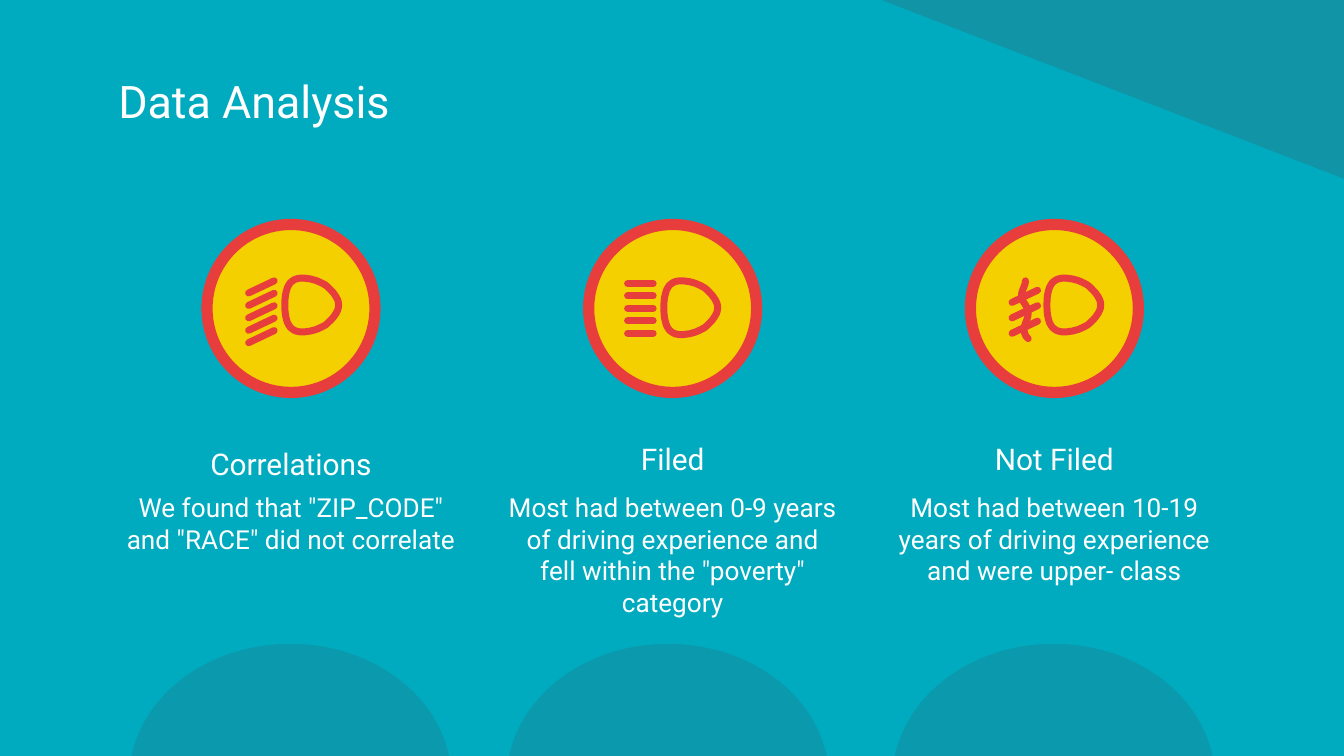
from dataclasses import dataclass

from lxml.etree import SubElement
from pptx import Presentation
from pptx.dml.color import RGBColor
from pptx.enum.shapes import MSO_CONNECTOR, MSO_SHAPE
from pptx.enum.text import MSO_ANCHOR, PP_ALIGN
from pptx.oxml.ns import qn
from pptx.util import Inches, Pt

COLORS = {"background": "00ABBF", "shade": "336574", "disc": "F4D000",
          "icon": "E83D3D", "text": "FFFFFF"}
FONT = "Roboto"
DISC_LEFT, DISC_TOP, DISC_SIZE = 1.54, 1.67, 1.25
COLUMN_STEP = 2.84
STROKE = 3.75
UNITS = 1000  # freeform grid units per inch

Point = tuple[float, float]
Curve = list[tuple[Point, Point, Point]]

# Curves run on from a start point, each step being two handles and an end
LAMP_START: Point = (0.16, 0.03)
LAMP: Curve = [
    ((0.22, 0.03), (0.28, 0.05), (0.33, 0.08)),
    ((0.39, 0.13), (0.43, 0.18), (0.43, 0.23)),
    ((0.43, 0.28), (0.39, 0.33), (0.33, 0.38)),
    ((0.28, 0.41), (0.22, 0.43), (0.16, 0.43)),
    ((0.10, 0.43), (0.03, 0.41), (0.03, 0.23)),
    ((0.03, 0.05), (0.10, 0.03), (0.16, 0.03)),
]
WAVE_START: Point = (7.63, 2.09)
WAVE: Curve = [
    ((7.63, 2.13), (7.60, 2.16), (7.60, 2.20)),
    ((7.60, 2.25), (7.65, 2.27), (7.65, 2.33)),
    ((7.65, 2.38), (7.62, 2.41), (7.62, 2.45)),
    ((7.62, 2.48), (7.63, 2.50), (7.65, 2.52)),
]


@dataclass
class Rays:
    left: float
    top: float
    width: float
    rise: float
    count: int
    span: float


@dataclass
class Column:
    heading: str
    body: str
    arc_left: float
    lamp: Point
    rays: Rays
    heading_spacing: float = 1.0


COLUMNS = [
    Column("Correlations", 'We found that "ZIP_CODE" and "RACE" did not correlate',
           0.96, (2.09, 2.04), Rays(1.85, 2.18, 0.19, 0.09, 5, 0.37), 1.15),
    Column("Filed", "Most had between 0-9 years of driving experience and fell "
           'within the "poverty" category',
           3.77, (4.91, 2.06), Rays(4.67, 2.11, 0.19, 0, 5, 0.37)),
    Column("Not Filed", "Most had between 10-19 years of driving experience and "
           "were upper- class",
           6.64, (7.76, 2.04), Rays(7.53, 2.25, 0.19, 0.09, 3, 0.23)),
]


def rgb(name: str) -> RGBColor:
    return RGBColor.from_string(COLORS[name])


def add_filled(s, kind, left: float, top: float, width: float, height: float,
               color: str, alpha: int = 100):
    sp = s.shapes.add_shape(kind, Inches(left), Inches(top), Inches(width), Inches(height))
    sp.shadow.inherit = False
    sp.fill.solid()
    sp.fill.fore_color.rgb = rgb(color)
    sp.line.fill.background()
    if alpha < 100:
        clr = sp._element.spPr.find(f".//{qn('a:srgbClr')}")
        SubElement(clr, qn("a:alpha")).set("val", str(alpha * 1000))
    return sp


def style_stroke(sp) -> None:
    sp.line.color.rgb = rgb("icon")
    sp.line.width = Pt(STROKE)
    ln = sp.line._get_or_add_ln()
    ln.set("cap", "rnd")
    SubElement(ln, qn("a:round"))


def add_curve(s, start: Point, curve: Curve, origin: Point = (0, 0),
              close: bool = False, steps: int = 12) -> None:
    points, p0 = [start], start
    for p1, p2, p3 in curve:
        for i in range(1, steps + 1):
            t = i / steps
            u = 1 - t
            points.append(tuple(u**3 * a + 3 * u * u * t * b + 3 * u * t * t * c + t**3 * d
                                for a, b, c, d in zip(p0, p1, p2, p3)))
        p0 = p3
    placed = [((x + origin[0]) * UNITS, (y + origin[1]) * UNITS) for x, y in points]
    builder = s.shapes.build_freeform(*placed[0], scale=Inches(1) / UNITS)
    builder.add_line_segments(placed[1:], close=close)
    sp = builder.convert_to_shape()
    sp.shadow.inherit = False
    sp.fill.background()
    style_stroke(sp)


def add_rays(s, rays: Rays) -> None:
    for i in range(rays.count):
        y = rays.top + i * rays.span / (rays.count - 1)
        line = s.shapes.add_connector(
            MSO_CONNECTOR.STRAIGHT, Inches(rays.left), Inches(y),
            Inches(rays.left + rays.width), Inches(y - rays.rise))
        style_stroke(line)
        SubElement(line._element.spPr, qn("a:effectLst"))


def set_text(sp, text: str, size: int, align, anchor, spacing: float = 1.0) -> None:
    tf = sp.text_frame
    tf.text = text
    tf.word_wrap = True
    tf.vertical_anchor = anchor
    tf.margin_left = tf.margin_right = tf.margin_top = tf.margin_bottom = Inches(0.1)
    p = tf.paragraphs[0]
    p.alignment = align
    p.line_spacing = spacing
    r = p.runs[0]
    r.font.name, r.font.size, r.font.color.rgb = FONT, Pt(size), rgb("text")


def add_caption(s, text: str, center: float, top: float, width: float, height: float,
                size: int, spacing: float = 1.0) -> None:
    sp = s.shapes.add_textbox(Inches(center - width / 2), Inches(top),
                              Inches(width), Inches(height))
    set_text(sp, text, size, PP_ALIGN.CENTER, MSO_ANCHOR.TOP, spacing)


def main() -> None:
    prs = Presentation()
    prs.slide_width, prs.slide_height = Inches(10), Inches(10 * 9 / 16)
    s = prs.slides.add_slide(prs.slide_layouts[5])

    # Background decoration
    s.background.fill.solid()
    s.background.fill.fore_color.rgb = rgb("background")
    for column in COLUMNS:
        add_filled(s, MSO_SHAPE.OVAL, column.arc_left, 4.79, 2.4, 2.02, "shade", 23)
    corner = add_filled(s, MSO_SHAPE.RIGHT_TRIANGLE, 6.56, 0, 3.44, 1.33, "shade", 32)
    corner.rotation = 180

    # Title
    title = s.shapes.title
    title.left, title.top = Inches(0.78), Inches(0.43)
    title.width, title.height = Inches(8.44), Inches(0.63)
    set_text(title, "Data Analysis", 24, PP_ALIGN.LEFT, MSO_ANCHOR.MIDDLE)

    # Columns: disc, headlamp icon, heading and body
    for i, column in enumerate(COLUMNS):
        left = DISC_LEFT + i * COLUMN_STEP
        center = left + DISC_SIZE / 2
        disc = add_filled(s, MSO_SHAPE.OVAL, left, DISC_TOP, DISC_SIZE, DISC_SIZE, "disc")
        disc.line.color.rgb = rgb("icon")
        disc.line.width = Pt(6)
        add_curve(s, LAMP_START, LAMP, column.lamp, close=True)
        add_rays(s, column.rays)
        add_caption(s, column.heading, center, 3.18, 2.13, 0.47, 16, column.heading_spacing)
        add_caption(s, column.body, center, 3.56, 2.65, 0.86, 14)

    # Wave crossing the fog lamp's rays
    add_curve(s, WAVE_START, WAVE)

    prs.save("out.pptx")


if __name__ == "__main__":
    main()
